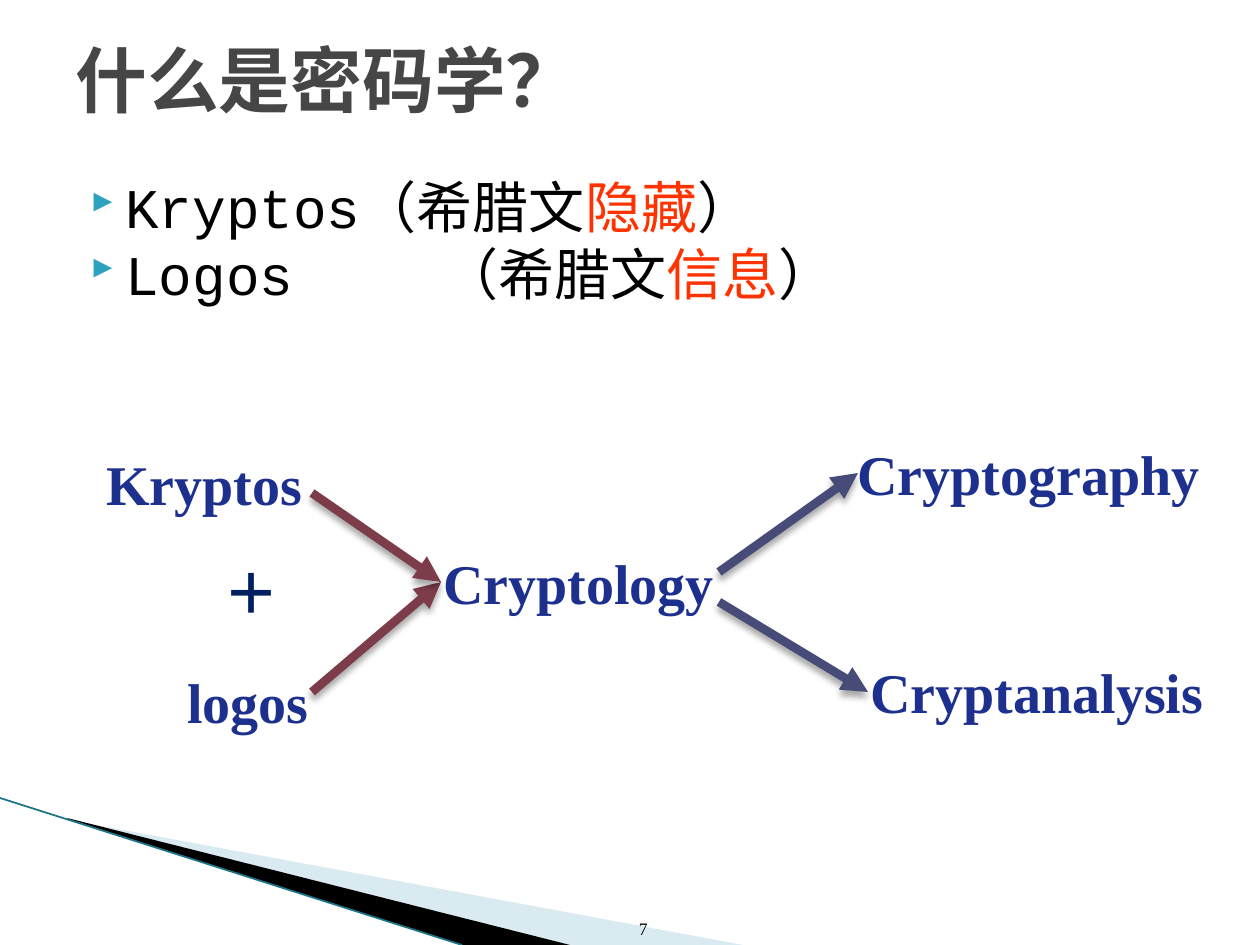
"""Build the slide that explains the word cryptology."""
from lxml import etree
from pptx import Presentation
from pptx.dml.color import RGBColor as RGB
from pptx.enum.shapes import MSO_CONNECTOR as LINK
from pptx.enum.text import MSO_ANCHOR as ANCHOR, MSO_AUTO_SIZE as AUTO, PP_ALIGN as ALIGN
from pptx.oxml.ns import qn
from pptx.util import Pt

PX = 914400 / 126
MONO, SERIF = "Courier New", "Times New Roman"
BLACK = RGB(0x00, 0x00, 0x00)
GRAY = RGB(0x46, 0x46, 0x46)
RED = RGB(0xFF, 0x33, 0x00)
BLUE = RGB(0x1D, 0x30, 0x8D)
NAVY = RGB(0x00, 0x20, 0x60)
WINE = RGB(0x7D, 0x3C, 0x4A)
SLATE = RGB(0x47, 0x4B, 0x78)
PALE = RGB(0xA0, 0xCB, 0xDC)
TEAL = RGB(0x1B, 0x75, 0x87)
MARK = RGB(0x2D, 0xA2, 0xBF)

deck = Presentation()
deck.slide_width, deck.slide_height = int(1260 * PX), int(945 * PX)
slide = deck.slides.add_slide(deck.slide_layouts[6])
shapes = slide.shapes


def add(root, tag, **attrs):
    return etree.SubElement(root, qn(tag), {k: str(v) for k, v in attrs.items()})


def write(rows, box, size=32, font=SERIF, bold=False, align=ALIGN.LEFT,
          anchor=ANCHOR.TOP, wrap=True, grow=False, bullet=False):
    frame = shapes.add_textbox(*[int(n * PX) for n in box]).text_frame
    frame.word_wrap, frame.vertical_anchor = wrap, anchor
    frame.auto_size = AUTO.SHAPE_TO_FIT_TEXT if grow else AUTO.NONE
    for i, row in enumerate(rows):
        para = frame.add_paragraph() if i else frame.paragraphs[0]
        para.alignment = align
        if bullet:
            para.line_spacing = Pt(38)
            prop = para._p.get_or_add_pPr()
            prop.set("marL", str(int(50 * PX)))
            prop.set("indent", str(int(-35 * PX)))
            add(add(prop, "a:buClr"), "a:srgbClr", val=MARK)
            add(prop, "a:buSzPct", val=68000)
            add(prop, "a:buFont", typeface="Wingdings 3", charset=2)
            add(prop, "a:buChar", char="}")
            add(add(prop, "a:tabLst"), "a:tab", pos=int(367 * PX), algn="l")
        for text, color in row:
            run = para.add_run()
            run.text = text
            run.font.size, run.font.name, run.font.bold = Pt(size), font, bold
            run.font.color.rgb = color


wedges = [
    (PALE, 40, [(69, 820), (743, 945), (570, 945), (69, 819)]),
    (BLACK, 100, [(67, 818), (570, 945), (463, 945), (68, 819)]),
]
for color, alpha, dots in wedges:
    path = shapes.build_freeform(*dots[0], scale=PX)
    path.add_line_segments(dots[1:])
    wedge = path.convert_to_shape()
    wedge.shadow.inherit = False
    wedge.line.fill.background()
    wedge.fill.solid()
    wedge.fill.fore_color.rgb = color
    if alpha < 100:
        tint = wedge._element.spPr.find(".//" + qn("a:srgbClr"))
        add(tint, "a:alpha", val=alpha * 1000)

write([[("Kryptos（希腊文", BLACK), ("隐藏", RED), ("）", BLACK)],
       [("Logos\t（希腊文", BLACK), ("信息", RED), ("）", BLACK)]],
      (63, 167, 1134, 714), font=MONO, bullet=True)
write([[("什么是密码学？", GRAY)]], (63, 0, 1134, 158),
      size=41, font=MONO, bold=True, anchor=ANCHOR.MIDDLE)
write([[("7", BLACK)]], (589, 883, 71, 62),
      size=10, align=ALIGN.RIGHT, anchor=ANCHOR.BOTTOM)

labels = [
    ("Kryptos", BLUE, 94, 443, 224),
    ("logos", BLUE, 175, 661, 152),
    ("Cryptology", BLUE, 431, 542, 300),
    ("＋", NAVY, 211, 552, 84),
    ("Cryptography", BLUE, 845, 433, 372),
    ("Cryptanalysis", BLUE, 858, 651, 366),
]
for text, color, left, top, width in labels:
    write([[(text, color)]], (left, top, width, 79), bold=True, wrap=False, grow=True)

lines = [
    (TEAL, 1, False, (0, 798, 462, 945)),
    (WINE, 5, True, (312, 692, 441, 582)),
    (WINE, 5, True, (312, 493, 441, 582)),
    (SLATE, 5, True, (719, 572, 858, 473)),
    (SLATE, 5, True, (719, 602, 868, 692)),
]
for color, weight, arrow, ends in lines:
    link = shapes.add_connector(LINK.STRAIGHT, *[int(n * PX) for n in ends])
    link.line.color.rgb, link.line.width = color, Pt(weight)
    effect = add(link._element.spPr, "a:effectLst")
    if arrow:
        add(link.line._get_or_add_ln(), "a:tailEnd", type="triangle")
        shade = add(effect, "a:outerShdw", blurRad=Pt(4), dist=Pt(3),
                    dir=5400000, rotWithShape=0)
        add(add(shade, "a:srgbClr", val="000000"), "a:alpha", val=35000)

deck.save("out.pptx")
